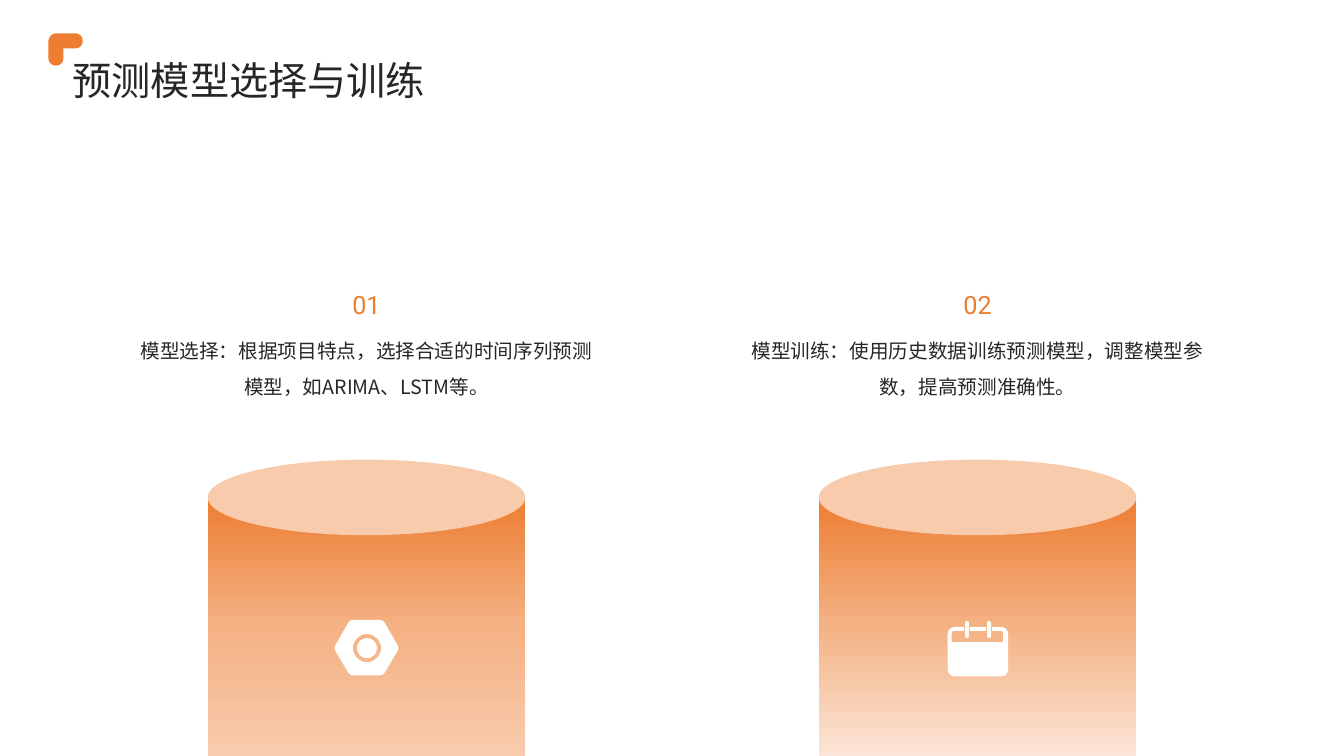
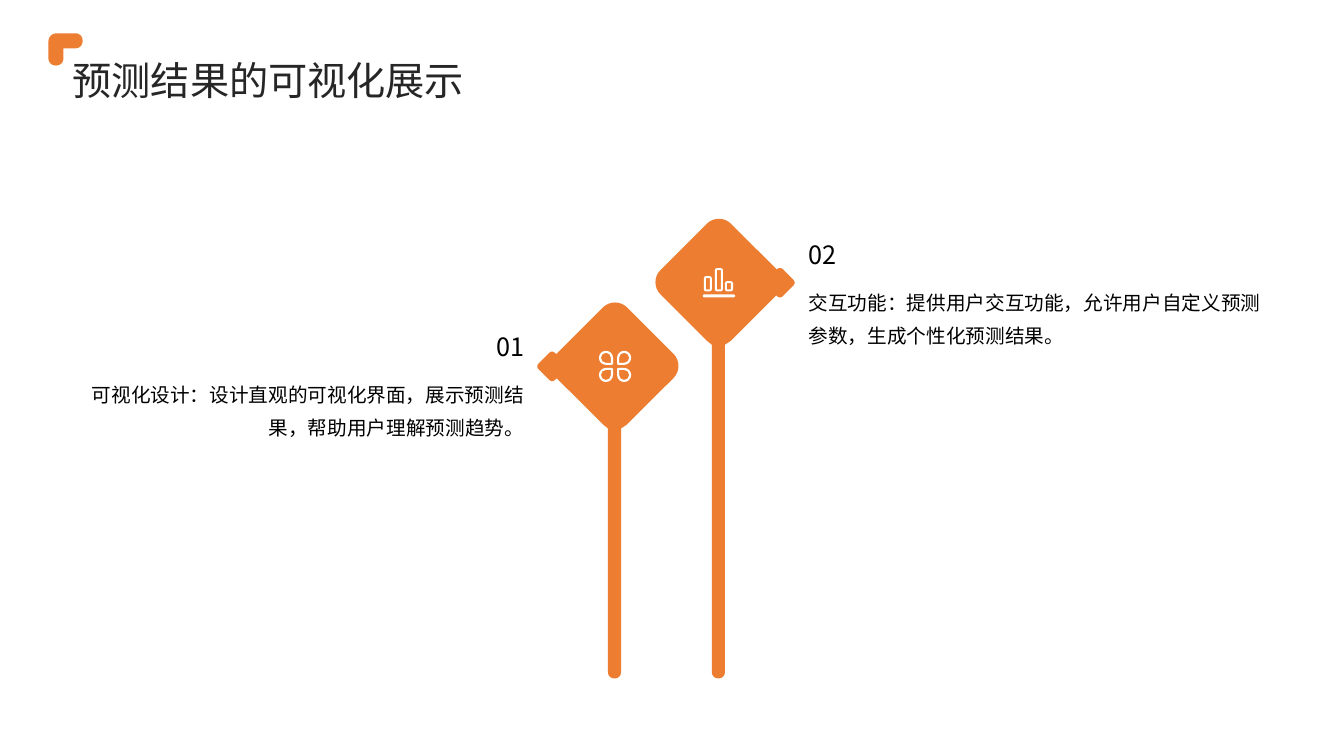
"""Build two slides on choosing a forecasting model and presenting its results."""
from copy import deepcopy
from dataclasses import dataclass
from math import hypot
from typing import Any

from lxml.etree import SubElement
from pptx import Presentation
from pptx.dml.color import RGBColor
from pptx.enum.shapes import MSO_SHAPE
from pptx.enum.text import MSO_ANCHOR, MSO_AUTO_SIZE, PP_ALIGN
from pptx.oxml.ns import qn
from pptx.util import Emu, Pt

EMU_PER_PX = 9144
ORANGE, PEACH, WHITE = "ED7D31", "F8CBAD", "FFFFFF"
INK, BLACK = "262626", "000000"
CHINESE_FONT, NUMBER_FONT = "Noto Sans CJK SC", "Roboto"
ARC_HANDLE = 0.55
NO_MARGINS = {f"margin_{side}": 0 for side in ("left", "top", "right", "bottom")}
TITLE_BOX = (72, 51, 1167, 51)
CORNER_MARK = [(48, 33, 8), (82, 33, 7), (82, 48, 7), (63, 48, 0), (63, 65, 7), (48, 65, 7)]

Vertex = tuple[int, int, int]
Contour = list[Vertex]
Point = tuple[int, int]
Box = tuple[int, int, int, int]


@dataclass(frozen=True)
class TextStyle:
    """Type and paragraph settings of one kind of text."""
    size: int
    color: str
    spacing: float
    font: str = CHINESE_FONT
    align: PP_ALIGN = PP_ALIGN.LEFT


@dataclass(frozen=True)
class Cylinder:
    """A numbered column with its caption, icon and gradient end."""
    left: int
    number: str
    caption: str
    fade: str
    icon: list[Contour]


@dataclass(frozen=True)
class Signpost:
    """A diamond sign on a pole with its tag, text and icon."""
    center_x: int
    center_y: int
    tag_left: int
    text_left: int
    text_width: int
    text_top: int
    align: PP_ALIGN
    number: str
    caption: str
    icon: list[Contour]


def px(length: float) -> Emu:
    """Turn px into EMU."""
    return Emu(round(length * EMU_PER_PX))


def rgb(value: str) -> RGBColor:
    """Turn a hex string into a colour."""
    return RGBColor.from_string(value)


def set_all(target: Any, values: dict[str, Any]) -> None:
    """Set every named attribute on the target."""
    for name, value in values.items():
        setattr(target, name, value)


def box_contour(left: int, top: int, width: int, height: int, *cuts: int) -> Contour:
    """Outline a box with one cut for all corners or one for each."""
    right, bottom = left + width, top + height
    corners = ((left, top), (right, top), (right, bottom), (left, bottom))
    corner_cuts = cuts * 4 if len(cuts) == 1 else cuts
    return [(x, y, cut) for (x, y), cut in zip(corners, corner_cuts)]


def towards(start: Vertex, end: Vertex, distance: float) -> Point:
    """Find the point, in EMU, at a distance from start on the way to end."""
    share = distance / hypot(end[0] - start[0], end[1] - start[1])
    return tuple(px(start[axis] + share * (end[axis] - start[axis])) for axis in (0, 1))


def round_corners(contour: Contour) -> list[tuple[bool, Point]]:
    """List the points of a contour, each marked when it belongs to a curve."""
    points = []
    for index, vertex in enumerate(contour):
        before, after = contour[index - 1], contour[(index + 1) % len(contour)]
        cut = vertex[2]
        handle = cut * (1 - ARC_HANDLE)
        start = towards(vertex, before, cut)
        if not points or points[-1][1] != start:
            points.append((False, start))
        if cut:
            curve = (towards(vertex, before, handle), towards(vertex, after, handle),
                     towards(vertex, after, cut))
            points += [(True, point) for point in curve]
    return points


def bend_curves(shape: Any, flags: list[bool]) -> None:
    """Join each three flagged points of a freeform into one curve."""
    path_element = next(shape._element.iter(qn("a:path")))
    steps = [step for step in path_element if step.tag != qn("a:close")]
    curved = [step for step, flag in zip(steps, flags) if flag]
    for first, second, third in zip(curved[::3], curved[1::3], curved[2::3]):
        curve = SubElement(path_element, qn("a:cubicBezTo"))
        first.addprevious(curve)
        for step in (first, second, third):
            curve.append(step[0])
            path_element.remove(step)


def finish(shape: Any, color: str | None = None) -> None:
    """Remove shadow and line, and fill with a colour when given."""
    shape.shadow.inherit = False
    shape.line.fill.background()
    if color:
        shape.fill.solid()
        shape.fill.fore_color.rgb = rgb(color)


def add_outline(slide: Any, contours: list[Contour], color: str) -> None:
    """Draw contours as one freeform, with inner contours as holes."""
    outlines = [round_corners(contour) for contour in contours]
    builder = slide.shapes.build_freeform(*outlines[0][0][1], scale=1.0)
    for number, outline in enumerate(outlines):
        points = [point for _, point in outline]
        if number:
            builder.move_to(*points[0])
        builder.add_line_segments(points[1:], close=True)
    shape = builder.convert_to_shape()
    bend_curves(shape, [flag for outline in outlines for flag, _ in outline])
    finish(shape, color)


def add_preset(slide: Any, kind: MSO_SHAPE, box: Box, color: str | None = None) -> Any:
    """Draw a preset shape in a px box."""
    shape = slide.shapes.add_shape(kind, *map(px, box))
    finish(shape, color)
    return shape


def fill_gradient(shape: Any, colors: tuple[str, ...]) -> None:
    """Fill a shape from top to bottom with three colours."""
    shape.fill.gradient()
    shape.fill.gradient_angle = 270
    stop_list = shape._element.spPr.find(qn("a:gradFill")).find(qn("a:gsLst"))
    stop_list.append(deepcopy(stop_list[0]))
    for stop, position, color in zip(shape.fill.gradient_stops, (0, 0.49, 1), colors):
        stop.position = position
        stop.color.rgb = rgb(color)


def write_text(shape: Any, text: str, style: TextStyle, frame_values: dict[str, Any]) -> None:
    """Write one styled paragraph into a shape."""
    set_all(shape.text_frame, {"word_wrap": True, "auto_size": MSO_AUTO_SIZE.NONE, **frame_values})
    paragraph = shape.text_frame.paragraphs[0]
    set_all(paragraph, {"alignment": style.align, "line_spacing": style.spacing})
    run = paragraph.add_run()
    run.text = text
    set_all(run.font, {"size": Pt(style.size), "name": style.font, "bold": False})
    run.font.color.rgb = rgb(style.color)
    SubElement(run.font._element, qn("a:ea")).set("typeface", style.font)


def add_text(slide: Any, box: Box, text: str, style: TextStyle, **frame_values: Any) -> None:
    """Add a wrapped text box in a px box."""
    write_text(slide.shapes.add_textbox(*map(px, box)), text, style, frame_values)


def add_titled_slide(presentation: Any, title: str) -> Any:
    """Add a slide with the shared title and corner mark."""
    slide = presentation.slides.add_slide(presentation.slide_layouts[5])
    left, top, width, height = map(px, TITLE_BOX)
    shape = slide.shapes.title
    set_all(shape, {"left": left, "top": top, "width": width, "height": height})
    write_text(shape, title, TextStyle(28, INK, 1.1),
               {"vertical_anchor": MSO_ANCHOR.MIDDLE, **NO_MARGINS})
    add_outline(slide, [CORNER_MARK], ORANGE)
    return slide


def nut_icon() -> list[Contour]:
    """Outline a hexagonal nut around a ring."""
    hexagon = [(347, 615, 3), (380, 615, 3), (396, 643, 3),
               (380, 670, 3), (347, 670, 3), (331, 643, 3)]
    rings = [box_contour(364 - radius, 643 - radius, 2 * radius, 2 * radius, radius)
             for radius in (14, 10)]
    return [hexagon, *rings]


def calendar_icon() -> list[Contour]:
    """Outline a calendar page with two binding rings."""
    header = [(944, 626, 2)]
    for gap in (956, 978):
        header += [(gap, 626, 0), (gap, 622, 0), (gap + 6, 622, 0), (gap + 6, 626, 0)]
    header += [(995, 626, 2), (995, 637, 0), (944, 637, 0)]
    rings = [box_contour(left, 616, 4, 17, 2) for left in (957, 979)]
    return [box_contour(940, 622, 60, 49, 7), header, *rings]


def petals_icon() -> list[Contour]:
    """Outline four hollow petals around a centre."""
    contours = []
    for position, (left, top) in enumerate(((594, 348), (612, 348), (612, 365), (594, 365))):
        for inset, cut, inner_cut in ((0, 7, 1), (2, 5, 0)):
            size = 14 - 2 * inset
            cuts = [cut] * 4
            cuts[(position + 2) % 4] = inner_cut
            contours.append(box_contour(left + inset, top + inset, size, size, *cuts))
    return contours


def bars_icon() -> list[Contour]:
    """Outline three hollow bars on a base line."""
    contours = [box_contour(697, 292, 32, 3, 1)]
    for left, top in ((698, 274), (709, 266), (719, 279)):
        contours.append(box_contour(left, top, 8, 289 - top, 2))
        contours.append(box_contour(left + 2, top + 2, 4, 285 - top, 0))
    return contours


def add_cylinder(slide: Any, cylinder: Cylinder) -> None:
    """Draw a column with its number and caption above."""
    text_left = cylinder.left - 80
    add_text(slide, (text_left, 320, 475, 137), cylinder.caption,
             TextStyle(14, INK, 1.5, align=PP_ALIGN.CENTER))
    add_text(slide, (text_left, 279, 475, 40), cylinder.number,
             TextStyle(18, ORANGE, 1.1, NUMBER_FONT, PP_ALIGN.CENTER))
    side = add_preset(slide, MSO_SHAPE.RECTANGLE, (cylinder.left, 494, 315, 256))
    fill_gradient(side, (ORANGE, "F4B183", cylinder.fade))
    add_preset(slide, MSO_SHAPE.FLOWCHART_CONNECTOR, (cylinder.left, 456, 315, 75), PEACH)
    add_outline(slide, cylinder.icon, WHITE)


def add_signpost(slide: Any, sign: Signpost) -> None:
    """Draw a diamond sign with its pole, tag, icon and text."""
    x, y = sign.center_x, sign.center_y
    outline = [(x, y - 70, 17), (x + 70, y, 17), (x + 12, y + 58, 0), (x + 6, y + 62, 0),
               (x + 6, 673, 6), (x - 7, 673, 6), (x - 7, y + 62, 0), (x - 12, y + 58, 0),
               (x - 70, y, 17)]
    add_outline(slide, [outline], ORANGE)
    add_text(slide, (sign.text_left, sign.text_top + 72, sign.text_width, 184), sign.caption,
             TextStyle(14, BLACK, 1.4, align=sign.align), **NO_MARGINS)
    add_text(slide, (sign.text_left, sign.text_top, sign.text_width, 60), sign.number,
             TextStyle(18, BLACK, 1.1, align=sign.align),
             vertical_anchor=MSO_ANCHOR.BOTTOM, **NO_MARGINS)
    tag = add_preset(slide, MSO_SHAPE.ROUNDED_RECTANGLE, (sign.tag_left, y - 11, 23, 23), ORANGE)
    tag.rotation = 45
    add_outline(slide, sign.icon, WHITE)


CYLINDERS = (
    Cylinder(206, "01", "模型选择：根据项目特点，选择合适的时间序列预测模型，如ARIMA、LSTM等。",
             PEACH, nut_icon()),
    Cylinder(812, "02", "模型训练：使用历史数据训练预测模型，调整模型参数，提高预测准确性。",
             "FBE5D6", calendar_icon()),
)
SIGNPOSTS = (
    Signpost(610, 363, 536, 78, 442, 299, PP_ALIGN.RIGHT, "01",
             "可视化设计：设计直观的可视化界面，展示预测结果，帮助用户理解预测趋势。", petals_icon()),
    Signpost(713, 280, 762, 802, 452, 207, PP_ALIGN.LEFT, "02",
             "交互功能：提供用户交互功能，允许用户自定义预测参数，生成个性化预测结果。", bars_icon()),
)


def main() -> None:
    """Build and save the presentation."""
    presentation = Presentation()
    set_all(presentation, {"slide_width": px(1333), "slide_height": px(750)})
    model_slide = add_titled_slide(presentation, "预测模型选择与训练")
    for cylinder in CYLINDERS:
        add_cylinder(model_slide, cylinder)
    result_slide = add_titled_slide(presentation, "预测结果的可视化展示")
    for sign in SIGNPOSTS:
        add_signpost(result_slide, sign)
    presentation.save("out.pptx")


if __name__ == "__main__":
    main()
